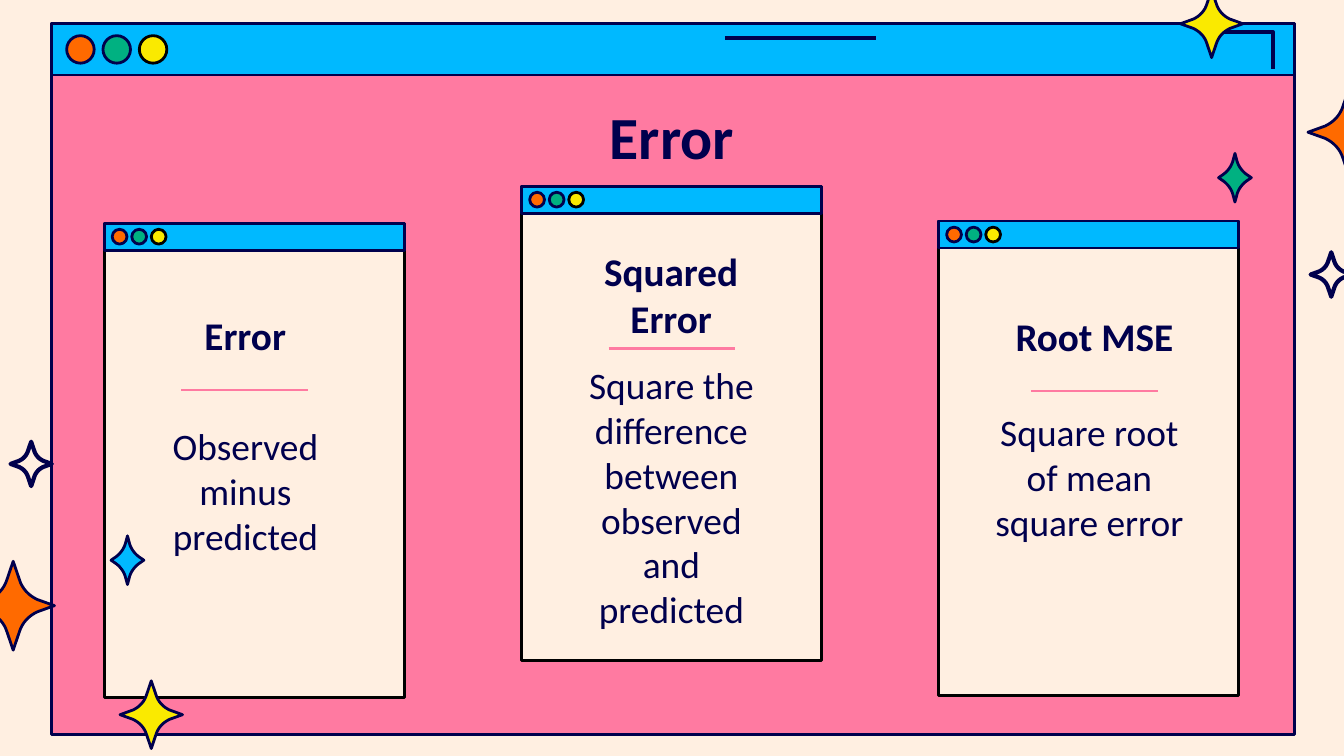
from lxml.etree import SubElement
from pptx import Presentation
from pptx.dml.color import RGBColor
from pptx.enum.shapes import MSO_CONNECTOR, MSO_SHAPE
from pptx.enum.text import MSO_ANCHOR, PP_ALIGN
from pptx.oxml.ns import qn
from pptx.util import Cm, Pt

CREAM = RGBColor(0xFF, 0xEF, 0xE1)
PINK = RGBColor(0xFF, 0x7A, 0xA1)
NAVY = RGBColor(0x00, 0x00, 0x4D)
BLACK = RGBColor(0x00, 0x00, 0x00)
BLUE = RGBColor(0x00, 0xB9, 0xFF)
GREEN = RGBColor(0x00, 0xB1, 0x81)
YELLOW = RGBColor(0xFA, 0xEA, 0x00)
ORANGE = RGBColor(0xFF, 0x6A, 0x00)

# Bezier points of a star's upper right edge, as shares of its half width and height
WIDE = [(0.15, -0.59), (0.22, -0.38), (0.38, -0.23), (0.58, -0.14)]
NARROW = [(0.1, -0.75), (0.18, -0.48), (0.48, -0.22), (0.83, -0.08)]

# Card left and top; heading, its left and top; rule left and top; body, its left and top
CARDS = [
    (17.74, 4.18, "Root MSE", 18.82, 5.66, 19.48, 7.39,
     "Square root of mean square error", 18.49, 7.49),
    (9.86, 3.52, "Squared Error", 10.82, 4.42, 11.5, 6.58,
     "Square the difference between observed and predicted", 10.59, 6.6),
    (1.97, 4.22, "Error", 2.77, 5.64, 3.43, 7.37,
     "Observed minus predicted", 2.54, 7.75),
]

# Centre, half width, half height, fill, edge
STARS = [
    (2.41, 10.59, 0.31, 0.46, BLUE, NARROW),
    (0.59, 8.77, 0.39, 0.42, None, WIDE),
    (2.86, 13.51, 0.59, 0.64, YELLOW, WIDE),
    (0.25, 11.45, 0.78, 0.84, ORANGE, WIDE),
    (23.34, 3.36, 0.31, 0.46, GREEN, NARROW),
    (25.16, 5.19, 0.39, 0.42, None, WIDE),
    (22.9, 0.45, 0.59, 0.64, YELLOW, WIDE),
    (25.5, 2.5, 0.78, 0.84, ORANGE, WIDE),
]


def style(sp, fill, line=NAVY, width=1.5):
    sp.shadow.inherit = False
    if fill is None:
        sp.fill.background()
    else:
        sp.fill.solid()
        sp.fill.fore_color.rgb = fill
    sp.line.color.rgb = line
    sp.line.width = Pt(width)


def add_preset(s, kind, x, y, w, h, fill, line=NAVY):
    sp = s.shapes.add_shape(kind, Cm(x), Cm(y), Cm(w), Cm(h))
    style(sp, fill, line)


def add_window(s, x, y, w, h, bar, dot, fill, line):
    """Draw a browser window with a title bar and three round buttons."""
    add_preset(s, MSO_SHAPE.RECTANGLE, x, y, w, h, fill, line)
    add_preset(s, MSO_SHAPE.RECTANGLE, x, y, w, bar, BLUE)
    buttons = [(ORANGE, NAVY), (GREEN, NAVY), (YELLOW, BLACK)]
    for i, (color, edge) in enumerate(buttons):
        add_preset(s, MSO_SHAPE.OVAL, x + dot * (0.54 + 1.32 * i),
                   y + (bar - dot) / 2, dot, dot, color, edge)


def add_line(s, x1, y1, x2, y2, color, width=1.5):
    cx = s.shapes.add_connector(MSO_CONNECTOR.STRAIGHT,
                                Cm(x1), Cm(y1), Cm(x2), Cm(y2))
    cx.line.color.rgb = color
    cx.line.width = Pt(width)
    SubElement(cx.line._get_or_add_ln().getparent(), qn("a:effectLst"))


def add_outline(s, points, closed):
    points = [(Cm(x), Cm(y)) for x, y in points]
    builder = s.shapes.build_freeform(*points[0])
    builder.add_line_segments(points[1:], close=closed)
    return builder.convert_to_shape()


def bezier(curve, t):
    weights = ((1 - t) ** 3, 3 * t * (1 - t) ** 2, 3 * t ** 2 * (1 - t), t ** 3)
    return tuple(sum(k * p[axis] for k, p in zip(weights, curve))
                 for axis in (0, 1))


def add_star(s, cx, cy, half_w, half_h, fill, curve):
    edge = [(0, -1)] + [bezier(curve, i / 8) for i in range(9)] + [(1, 0)]
    right = edge + [(x, -y) for x, y in edge[-2::-1]]
    unit = right + [(-x, y) for x, y in right[-2:0:-1]]
    points = [(cx + x * half_w, cy + y * half_h) for x, y in unit]
    style(add_outline(s, points, True), fill, width=1.5 if fill else 2.25)


def add_text(s, x, y, w, h, text, size, bold=False, after=0):
    tf = s.shapes.add_textbox(Cm(x), Cm(y), Cm(w), Cm(h)).text_frame
    tf.word_wrap = True
    tf.vertical_anchor = MSO_ANCHOR.TOP
    tf.margin_left = tf.margin_right = Cm(0.25)
    tf.margin_top = tf.margin_bottom = Cm(0.25)
    p = tf.paragraphs[0]
    p.text = text
    p.alignment = PP_ALIGN.CENTER
    p.space_after = Pt(after)
    p.font.name = "Calibri"
    p.font.size = Pt(size)
    p.font.bold = bold
    p.font.color.rgb = NAVY


def add_card(s, x, y, heading, head_x, head_y, rule_x, rule_y,
             body, body_x, body_y):
    add_window(s, x, y, 5.67, 8.97, 0.51, 0.28, CREAM, BLACK)
    add_text(s, head_x, head_y, 3.73, 1.19, heading, 21, bold=True)
    add_line(s, rule_x, rule_y, rule_x + 2.4, rule_y, PINK)
    add_text(s, body_x, body_y, 4.2, 1.7, body, 20, after=16)


def main():
    prs = Presentation()
    prs.slide_width, prs.slide_height = Cm(25.4), Cm(14.29)
    s = prs.slides.add_slide(prs.slide_layouts[6])
    s.background.fill.solid()
    s.background.fill.fore_color.rgb = CREAM

    add_window(s, 0.98, 0.45, 23.49, 13.43, 0.97, 0.52, PINK, NAVY)
    corner = add_outline(s, [(23.08, 0.61), (24.06, 0.61), (24.06, 1.31)], False)
    style(corner, None, width=2)
    add_line(s, 13.7, 0.72, 16.56, 0.72, NAVY, 2.25)

    add_text(s, 1.97, 1.63, 21.46, 1.6, "Error", 32, bold=True)
    for card in CARDS:
        add_card(s, *card)
    for star in STARS:
        add_star(s, *star)
    prs.save("out.pptx")


if __name__ == "__main__":
    main()
